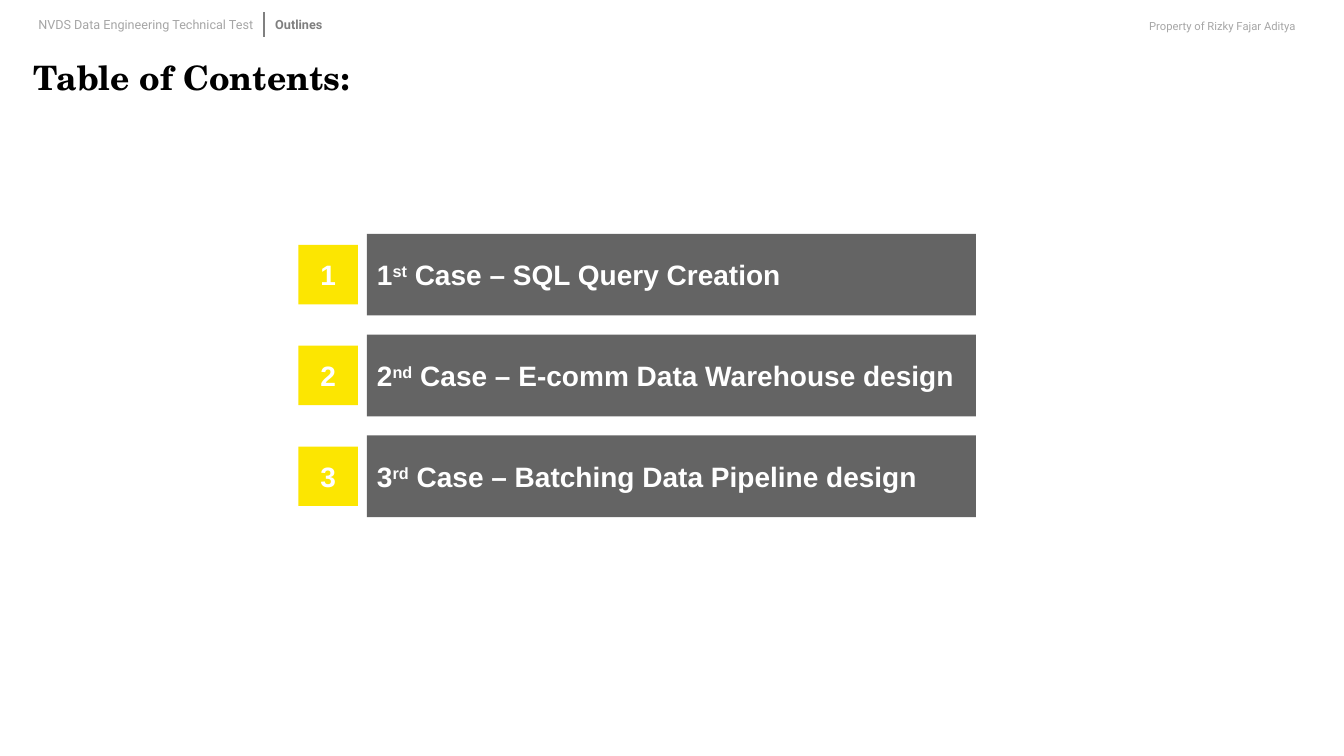
from pptx import Presentation
from pptx.dml.color import RGBColor
from pptx.enum.shapes import MSO_CONNECTOR as CONN, MSO_SHAPE as SHAPE
from pptx.enum.text import MSO_ANCHOR as ANCHOR, PP_ALIGN as ALIGN
from pptx.oxml.ns import qn
from pptx.util import Pt
from lxml import etree

PX = 9144

WHITE = RGBColor(0xFF, 0xFF, 0xFF)
BLACK = RGBColor(0x00, 0x00, 0x00)
YELLOW = RGBColor(0xFC, 0xE6, 0x01)
DARK_GREY = RGBColor(0x64, 0x64, 0x64)
MID_GREY = RGBColor(0x7F, 0x7F, 0x7F)
LIGHT_GREY = RGBColor(0xA6, 0xA6, 0xA6)
RULE_GREY = RGBColor(0x80, 0x80, 0x80)

CASES = [
    ("1", "st", " Case – SQL Query Creation"),
    ("2", "nd", " Case – E-comm Data Warehouse design"),
    ("3", "rd", " Case – Batching Data Pipeline design"),
]


def emu(*lengths):
    return [n * PX for n in lengths]


def set_font(p, name, size, color, bold=False):
    p.font.name = name
    p.font.size = Pt(size)
    p.font.color.rgb = color
    p.font.bold = bold


def add_label(s, box, text, font, size, color, bold=False, align=ALIGN.LEFT, tight=False):
    tf = s.shapes.add_textbox(*emu(*box)).text_frame
    tf.word_wrap = True
    if tight:
        tf.margin_left = tf.margin_top = tf.margin_right = tf.margin_bottom = 0
        tf.vertical_anchor = ANCHOR.BOTTOM
    p = tf.paragraphs[0]
    p.text = text
    p.alignment = align
    set_font(p, font, size, color, bold)


def add_block(s, box, fill, align):
    sp = s.shapes.add_shape(SHAPE.RECTANGLE, *emu(*box))
    sp.shadow.inherit = False
    sp.fill.solid()
    sp.fill.fore_color.rgb = fill
    sp.line.fill.background()
    tf = sp.text_frame
    tf.word_wrap = True
    tf.vertical_anchor = ANCHOR.MIDDLE
    p = tf.paragraphs[0]
    p.alignment = align
    set_font(p, "Arial", 20, WHITE, True)
    return p


def add_header(s, x, y, w):
    add_label(s, (x, y + 5, 220, 15), "NVDS Data Engineering Technical Test",
              "Roboto", 9, LIGHT_GREY, tight=True)
    add_label(s, (x + 235, y + 5, 285, 15), "Outlines",
              "Roboto", 9, MID_GREY, True, tight=True)
    rule = s.shapes.add_connector(CONN.STRAIGHT, *emu(x + 224, y, x + 224, y + 25))
    rule.line.color.rgb = RULE_GREY
    rule.line.width = Pt(1.5)
    etree.SubElement(rule.element.spPr, qn("a:effectLst"))
    add_label(s, (x + w - 271, y + 2, 271, 24), "Property of Rizky Fajar Aditya",
              "Roboto", 8, LIGHT_GREY, align=ALIGN.RIGHT)


def add_case(s, x, y, w, h, case):
    number, suffix, title = case
    badge = 59
    gap = 9
    p = add_block(s, (x, y + (h - badge) // 2, badge, badge), YELLOW, ALIGN.CENTER)
    p.text = number
    p = add_block(s, (x + badge + gap, y, w - badge - gap, h), DARK_GREY, ALIGN.LEFT)
    p.add_run().text = number
    r = p.add_run()
    r.text = suffix
    r.font._element.set("baseline", "30000")
    p.add_run().text = title


def add_contents(s, x, y, w, row_h, pitch):
    for i, case in enumerate(CASES):
        add_case(s, x, y + i * pitch, w, row_h, case)


def main():
    prs = Presentation()
    prs.slide_width, prs.slide_height = emu(1333, 750)
    s = prs.slides.add_slide(prs.slide_layouts[6])
    s.background.fill.solid()
    s.background.fill.fore_color.rgb = WHITE
    add_header(s, 38, 12, 1257)
    add_label(s, (23, 52, 1310, 50), "Table of Contents:",
              "TeX Gyre Schola", 24, BLACK, True)
    add_contents(s, 296, 232, 672, 81, 100)
    prs.save("out.pptx")


if __name__ == "__main__":
    main()
